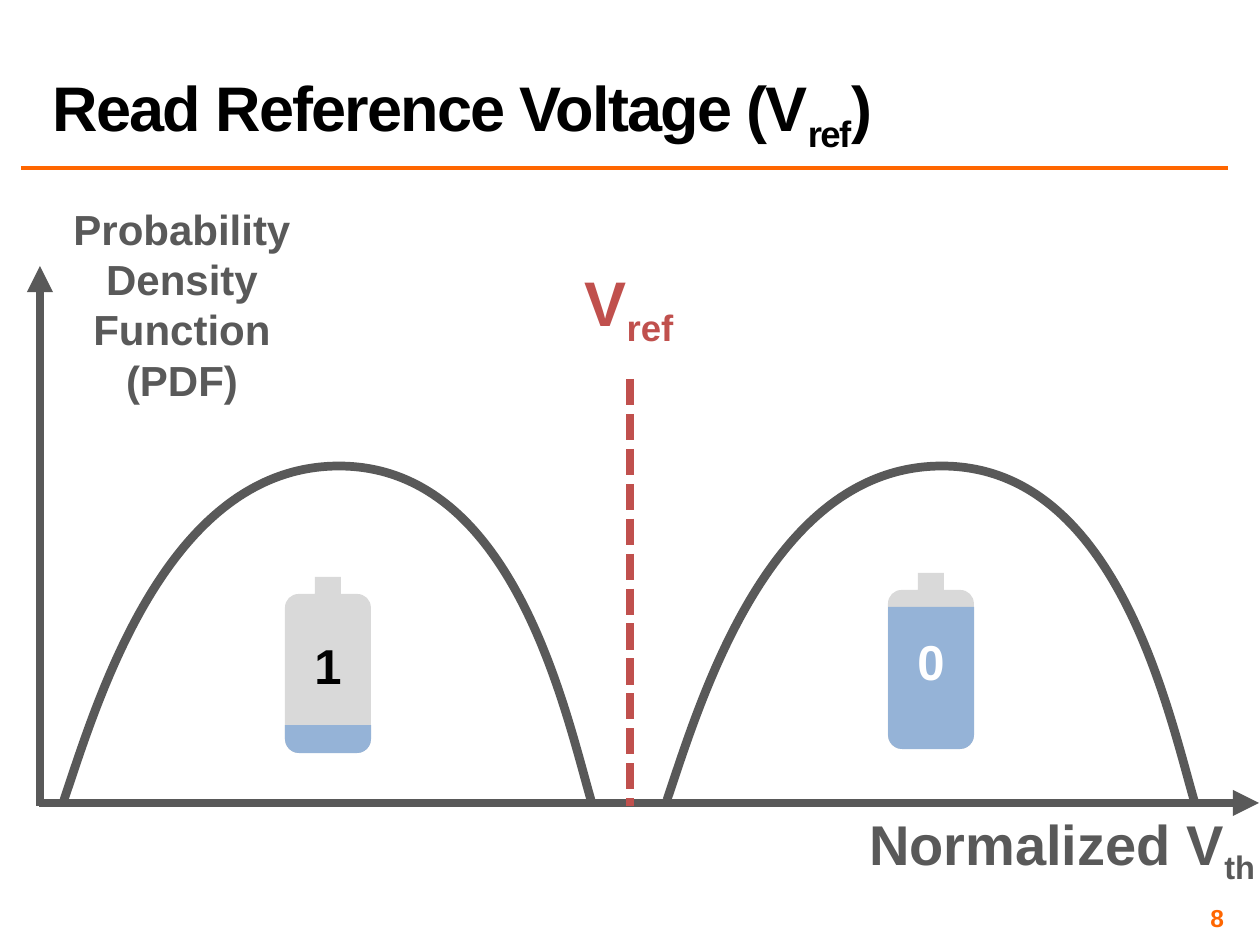
from pptx import Presentation
from pptx.dml.color import RGBColor
from pptx.enum.dml import MSO_LINE
from pptx.enum.shapes import MSO_CONNECTOR, MSO_SHAPE
from pptx.enum.text import MSO_ANCHOR, MSO_AUTO_SIZE, PP_ALIGN
from pptx.oxml.ns import qn
from pptx.oxml.xmlchemy import OxmlElement
from pptx.util import Pt

PX = 9144000 / 1260  # EMU in one px


class Theme:
    font = "Arial"
    ink, white = RGBColor(0, 0, 0), RGBColor(255, 255, 255)
    accent = RGBColor.from_string("FF6600")
    gray = RGBColor.from_string("595959")
    red = RGBColor.from_string("C0504D")
    battery = RGBColor.from_string("D9D9D9")
    charge = RGBColor.from_string("95B3D7")
    title, axis, bit, pdf, number = Pt(36), Pt(32), Pt(28), Pt(24), Pt(14)
    rule, stroke = Pt(2), Pt(5)


def write(frame, pieces, size, color, align=PP_ALIGN.CENTER, anchor=MSO_ANCHOR.TOP, spacing=None):
    """Fill a frame with runs; every second run is a subscript."""
    for name, value in dict(word_wrap=True, auto_size=MSO_AUTO_SIZE.NONE, vertical_anchor=anchor).items():
        setattr(frame, name, value)
    paragraph = frame.paragraphs[0]
    paragraph.alignment = align
    for index, piece in enumerate(pieces):
        run = paragraph.add_run()
        run.text = piece
        for name, value in dict(name=Theme.font, size=size, bold=True).items():
            setattr(run.font, name, value)
        run.font.color.rgb = color
        properties = run._r.get_or_add_rPr()
        if index % 2:
            properties.set("baseline", "-25000")
        if spacing:
            properties.set("spc", str(spacing))


def outline(shapes, points, bends, closed):
    """Join points in px; each bend is the index of the first of three Bézier points."""
    builder = shapes.build_freeform(*points[0], scale=PX)
    builder.add_line_segments(points[1:], close=closed)
    shape = builder.convert_to_shape()
    shape.shadow.inherit = False
    steps = shape._element.xpath(".//a:lnTo")
    for first in bends:
        curve = OxmlElement("a:cubicBezTo")
        steps[first - 1].addprevious(curve)
        for step in steps[first - 1:first + 2]:
            curve.append(step[0])
            step.getparent().remove(step)
    return shape


prs = Presentation()
prs.slide_width, prs.slide_height = round(1260 * PX), round(945 * PX)
slide = prs.slides.add_slide(prs.slide_layouts[5])
shapes = slide.shapes

# Title
title = shapes.title
for side, px in dict(left=40, top=5, width=1103, height=147).items():
    setattr(title, side, round(px * PX))
write(title.text_frame, ["Read Reference Voltage (V", "ref", ")"], Theme.title, Theme.ink,
      PP_ALIGN.LEFT, MSO_ANCHOR.BOTTOM, spacing=-100)
title.text_frame.paragraphs[0].line_spacing = 0.8

# Bell curves, one per stored bit
for left in (64, 667):
    offsets = [(0, 800), (33, 703), (102, 466), (275, 466), (448, 466), (500, 706), (527, 800)]
    bell = outline(shapes, [(left + x, y) for x, y in offsets], (1, 4), False)
    bell.fill.background()
    bell.line.color.rgb = Theme.gray
    bell.line.width = Theme.stroke

# Batteries with their charge level and bit
width, height, shoulder, radius, handle = 86, 176, 17, 14, 6
for left, top, level, bit, bit_color in (
    (285, 577, 28, "1", Theme.ink),
    (888, 573, 142, "0", Theme.white),
):
    parts = shapes.add_group_shape().shapes
    body = [(30, 0), (56, 0), (56, shoulder),
            (width - radius, shoulder), (width - handle, shoulder),
            (width, shoulder + handle), (width, shoulder + radius),
            (width, height - radius), (width, height - handle),
            (width - handle, height), (width - radius, height),
            (radius, height), (handle, height),
            (0, height - handle), (0, height - radius),
            (0, shoulder + radius), (0, shoulder + handle),
            (handle, shoulder), (radius, shoulder), (30, shoulder)]
    case = outline(parts, [(left + x, top + y) for x, y in body], (4, 8, 12, 16), True)
    charge = parts.add_shape(
        MSO_SHAPE.ROUND_2_SAME_RECTANGLE,
        *(round(px * PX) for px in (left, top + height - level, width, level)))
    charge.adjustments[0] = radius / min(width, level)
    charge.adjustments[1] = 0
    charge.rotation = 180
    charge.shadow.inherit = False
    for part, color in ((case, Theme.battery), (charge, Theme.charge)):
        part.fill.solid()
        part.fill.fore_color.rgb = color
        part.line.fill.background()
    label = parts.add_textbox(*(round(px * PX) for px in (left, top + 52, width, 72)))
    write(label.text_frame, [bit], Theme.bit, bit_color)

# Title rule, axes and reference voltage
for ends, color, weight, arrow, dash in (
    ((21, 168, 1228, 168), Theme.accent, Theme.rule, False, None),
    ((39, 803, 1259, 803), Theme.gray, Theme.stroke, True, None),
    ((40, 806, 40, 266), Theme.gray, Theme.stroke, True, None),
    ((630, 379, 630, 806), Theme.red, Theme.stroke, False, MSO_LINE.SQUARE_DOT),
):
    line = shapes.add_connector(MSO_CONNECTOR.STRAIGHT, *(round(px * PX) for px in ends))
    line.line.color.rgb = color
    line.line.width = weight
    if dash:
        line.line.dash_style = dash
    if arrow:
        tail = OxmlElement("a:tailEnd")
        tail.set("type", "triangle")
        line._element.spPr.find(qn("a:ln")).append(tail)
    line._element.spPr.append(OxmlElement("a:effectLst"))

# Labels
for box, pieces, size, color in (
    ((852, 803, 420, 81), ["Normalized V", "th"], Theme.axis, Theme.gray),
    ((49, 197, 266, 217), ["Probability Density Function (PDF)"], Theme.pdf, Theme.gray),
    ((568, 257, 122, 89), ["V", "ref"], Theme.title, Theme.red),
):
    label = shapes.add_textbox(*(round(px * PX) for px in box))
    write(label.text_frame, pieces, size, color)

# Page number
page_number = shapes.add_textbox(*(round(px * PX) for px in (935, 903, 294, 29)))
for side in ("left", "top", "right", "bottom"):
    setattr(page_number.text_frame, f"margin_{side}", round(5 * PX))
write(page_number.text_frame, ["8"], Theme.number, Theme.accent, PP_ALIGN.RIGHT, MSO_ANCHOR.MIDDLE)

prs.save("out.pptx")
